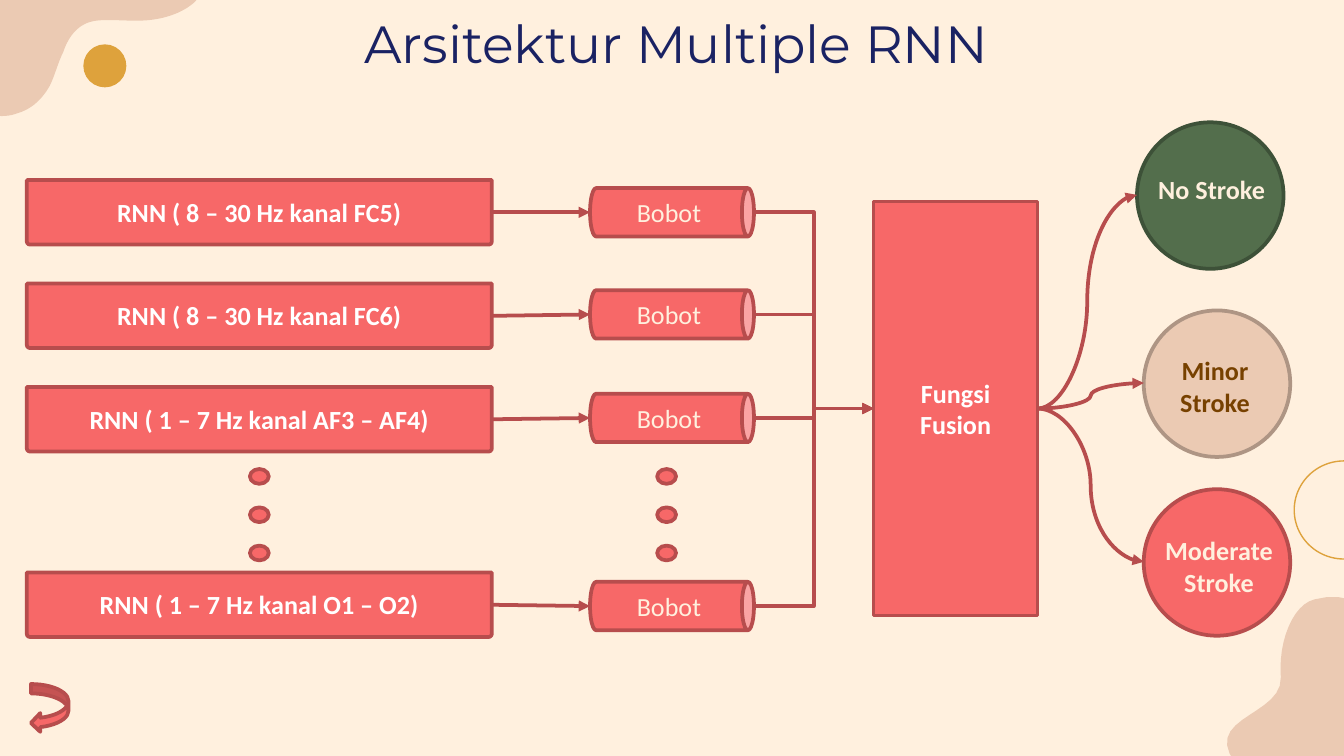
import pptx
import pptx.dml.color
import pptx.enum.shapes
import pptx.enum.text
import pptx.oxml
import pptx.oxml.ns
import pptx.util

Inches = pptx.util.Inches
Pt = pptx.util.Pt
SHAPE = pptx.enum.shapes.MSO_SHAPE
LINE = pptx.enum.shapes.MSO_CONNECTOR
ALIGN = pptx.enum.text.PP_ALIGN
ANCHOR = pptx.enum.text.MSO_ANCHOR
CORAL, RED, CREAM, SAND, GOLD = "F76868", "B74D4D", "FFF0DE", "EBCAB3", "DEA23C"


def paint(color_format, hex_color):
    color_format.rgb = pptx.dml.color.RGBColor.from_string(hex_color)


def style(sp, fill=None, line=None, width=2, text=(), color=CREAM, bold=True):
    if fill:
        sp.fill.solid()
        paint(sp.fill.fore_color, fill)
    else:
        sp.fill.background()
    if line:
        paint(sp.line.color, line)
        sp.line.width = Pt(width)
    else:
        sp.line.fill.background()
    sp.shadow.inherit = False
    tf = sp.text_frame
    tf.word_wrap = True
    for i, words in enumerate(text):
        p = tf.add_paragraph() if i else tf.paragraphs[0]
        p.alignment = ALIGN.CENTER
        r = p.add_run()
        r.text = words
        r.font.name = "Calibri"
        r.font.size = Pt(14)
        r.font.bold = bold
        paint(r.font.color, color)


prs = pptx.Presentation()
prs.slide_width = Inches(10)
prs.slide_height = Inches(10) * 9 // 16
slide = prs.slides.add_slide(prs.slide_layouts[5])
shapes = slide.shapes
slide.background.fill.solid()
paint(slide.background.fill.fore_color, CREAM)

blobs = [
    [(1.47, -0.01),
     (1.45, 0.02), (1.42, 0.04), (1.39, 0.06), (1.31, 0.11), (1.21, 0.14), (1.11, 0.15),
     (1.01, 0.16), (0.91, 0.15), (0.82, 0.15), (0.75, 0.15), (0.69, 0.15), (0.63, 0.18),
     (0.55, 0.22), (0.5, 0.3), (0.47, 0.39), (0.43, 0.47), (0.41, 0.56), (0.37, 0.64),
     (0.32, 0.73), (0.24, 0.81), (0.14, 0.84), (0.04, 0.88), (-0.07, 0.87), (-0.16, 0.81),
     (-0.24, 0.76), (-0.29, 0.67), (-0.31, 0.58), (-0.33, 0.48), (-0.31, 0.38), (-0.29, 0.29),
     (-0.23, 0.11), (-0.1, -0.06), (0.09, -0.1), (0.2, -0.13), (0.32, -0.1), (0.43, -0.08),
     (0.73, -0.04), (1.03, -0.04), (1.32, -0.08), (1.36, -0.08), (1.4, -0.09), (1.44, -0.1),
     (1.46, -0.11), (1.48, -0.12), (1.49, -0.1), (1.5, -0.07), (1.48, -0.03), (1.47, -0.01)],
    [(10.37, 4.75),
     (10.37, 4.75), (10.59, 5.19), (10.3, 5.59), (9.98, 6.04), (9.27, 5.86), (9.15, 5.61),
     (9.02, 5.33), (9.54, 5.31), (9.53, 5.04), (9.51, 4.77), (9.62, 4.5), (9.78, 4.46),
     (10.17, 4.35), (10.37, 4.75), (10.37, 4.75)],
]
for pts in blobs:
    outline = []
    for i in range(0, len(pts) - 1, 3):
        for step in range(1, 13):
            t = step / 12
            weights = ((1 - t) ** 3, 3 * t * (1 - t) ** 2, 3 * t * t * (1 - t), t ** 3)
            outline.append([Inches(sum(w * pt[axis] for w, pt in zip(weights, pts[i:i + 4])))
                            for axis in (0, 1)])
    builder = shapes.build_freeform(Inches(pts[0][0]), Inches(pts[0][1]))
    builder.add_line_segments(outline, close=True)
    style(builder.convert_to_shape(), SAND)

ring = shapes.add_shape(SHAPE.OVAL, Inches(9.63), Inches(3.43), Inches(0.74), Inches(0.73))
style(ring, None, GOLD, 0.75)
dot = shapes.add_shape(SHAPE.OVAL, Inches(0.62), Inches(0.33), Inches(0.32), Inches(0.32))
style(dot, GOLD)

title = shapes.title
title.left, title.top, title.width, title.height = Inches(0.81), Inches(0), Inches(8.44), Inches(0.63)
tf = title.text_frame
tf.vertical_anchor = ANCHOR.MIDDLE
tf.margin_left = tf.margin_right = tf.margin_top = tf.margin_bottom = Inches(0.1)
p = tf.paragraphs[0]
p.alignment = ALIGN.CENTER
r = p.add_run()
r.text = "Arsitektur Multiple RNN"
r.font.name = "Montserrat"
r.font.size = Pt(28)
paint(r.font.color, "1A2263")

back = shapes.add_shape(SHAPE.CURVED_LEFT_ARROW, Inches(0.23), Inches(5.09), Inches(0.28), Inches(0.36))
style(back, CORAL, RED)

fusion = shapes.add_shape(SHAPE.RECTANGLE, Inches(6.5), Inches(1.5), Inches(1.22), Inches(3.08))
style(fusion, CORAL, RED, text=["Fungsi Fusion"], color="FFFFFF")
fusion_y = 3.04
connectors = []

channels = [
    ("RNN ( 8 – 30 Hz kanal FC5)", 1.58, 1.58),
    ("RNN ( 8 – 30 Hz kanal FC6)", 2.35, 2.34),
    ("RNN ( 1 – 7 Hz kanal AF3 – AF4)", 3.12, 3.11),
    ("RNN ( 1 – 7 Hz kanal O1 – O2)", 4.5, 4.51),
]
for label, rnn_y, weight_y in channels:
    rnn = shapes.add_shape(SHAPE.ROUND_2_SAME_RECTANGLE,
                           Inches(0.2), Inches(rnn_y - 0.24), Inches(3.46), Inches(0.48))
    rnn.adjustments[0], rnn.adjustments[1] = 0, 0.05
    style(rnn, CORAL, RED, text=[label], color="FFFFFF")

    weight = shapes.add_shape(SHAPE.CAN, Inches(4.82), Inches(weight_y - 0.61), Inches(0.36), Inches(1.22))
    weight.rotation = 90
    style(weight, CORAL, RED, text=["Bobot"], bold=False)
    weight.text_frame._txBody.bodyPr.set("vert", "vert270")

    connectors.append(shapes.add_connector(
        LINE.STRAIGHT, Inches(3.66), Inches(rnn_y), Inches(4.39), Inches(weight_y)))
    link = shapes.add_connector(
        LINE.ELBOW, Inches(5.61), Inches(weight_y), Inches(6.5), Inches(fusion_y))
    link.end_connect(fusion, 1)
    connectors.append(link)

outcomes = [
    (8.46, 0.91, "536E4C", "3D5138", ["No Stroke"], CREAM, (8.44, 1.24, 1.15, 0.34)),
    (8.51, 2.31, SAND, "AE9584", ["Minor Stroke"], "774100", (8.58, 2.59, 0.92, 0.57)),
    (8.51, 3.64, CORAL, RED, ["Moderate", "Stroke"], CREAM, (8.52, 3.93, 1.1, 0.57)),
]
for x, y, fill, line, words, color, box in outcomes:
    circle = shapes.add_shape(SHAPE.OVAL, Inches(x), Inches(y), Inches(1.09), Inches(1.09))
    style(circle, fill, line)
    link = shapes.add_connector(
        LINE.CURVE, Inches(7.72), Inches(fusion_y), Inches(x), Inches(y + 0.54))
    link.begin_connect(fusion, 3)
    connectors.append(link)
    label = shapes.add_textbox(*[Inches(v) for v in box])
    style(label, text=words, color=color)
    label.text_frame.auto_size = pptx.enum.text.MSO_AUTO_SIZE.SHAPE_TO_FIT_TEXT

for link in connectors:
    paint(link.line.color, RED)
    link.line.width = Pt(2)
    ln = link.line._get_or_add_ln()
    ln.append(pptx.oxml.parse_xml(
        '<a:tailEnd %s type="triangle"/>' % pptx.oxml.ns.nsdecls("a")))
    ln.addnext(pptx.oxml.parse_xml("<a:effectLst %s/>" % pptx.oxml.ns.nsdecls("a")))

for x in (1.86, 4.89):
    for i in range(3):
        dot = shapes.add_shape(SHAPE.OVAL, Inches(x), Inches(3.49 + 0.285 * i), Inches(0.14), Inches(0.11))
        style(dot, CORAL, RED)

prs.save("out.pptx")
